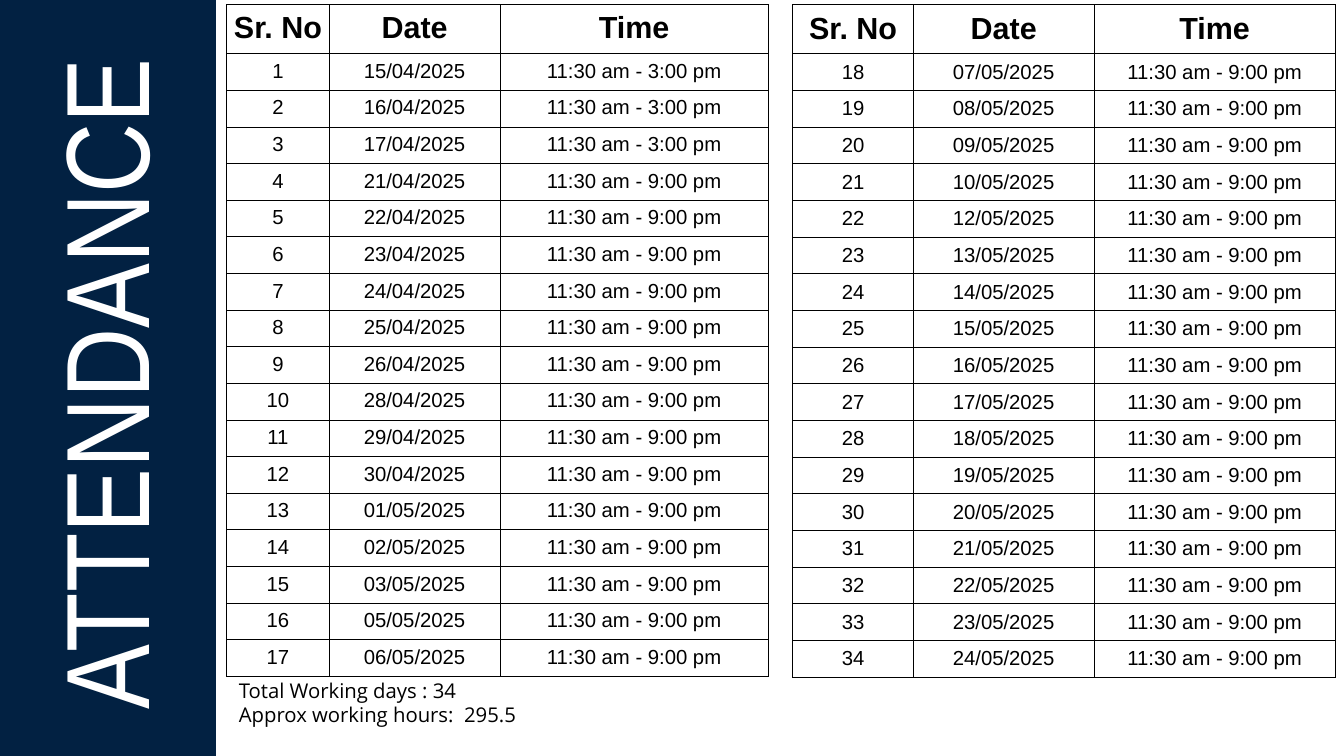
import dataclasses

import lxml.etree
import pptx
import pptx.dml.color
import pptx.enum.shapes
import pptx.enum.text
import pptx.oxml.ns
import pptx.util

Inches = pptx.util.Inches
ALIGN = pptx.enum.text.PP_ALIGN
ANCHOR = pptx.enum.text.MSO_ANCHOR


@dataclasses.dataclass(frozen=True)
class Theme:
    """Colours, fonts and type sizes of the slide."""
    navy: str = "022142"
    white: str = "FFFFFF"
    black: str = "000000"
    title_font: str = "Arial Narrow"
    table_font: str = "Arial"
    note_font: str = "Open Sans"
    title_size: int = 70
    header_size: int = 18
    body_size: int = 12
    border: float = 0.57


THEME = Theme()
HEADERS = ("Sr. No", "Date", "Time")
APRIL = [15, 16, 17, *range(21, 27), 28, 29, 30]
MAY = [1, 2, 3, *range(5, 11), *range(12, 25)]
DATES = [f"{day:02}/{month}/2025" for month, days in (("04", APRIL), ("05", MAY)) for day in days]
SHORT_DAYS = 3
ROWS_PER_TABLE = 17
TABLE_TOP, TABLE_BOTTOM = 0.04, 5.55


def rgb(colour):
    """Turn a hex string into a colour."""
    return pptx.dml.color.RGBColor.from_string(colour)


def write(tf, text, font, size, colour=THEME.black, bold=False, align=ALIGN.LEFT):
    """Write text into a frame, one paragraph per line."""
    for i, line in enumerate(text.split("\n")):
        p = tf.add_paragraph() if i else tf.paragraphs[0]
        p.alignment = align
        r = p.add_run()
        r.text = line
        r.font.name = font
        r.font.size = pptx.util.Pt(size)
        r.font.bold = bold
        r.font.color.rgb = rgb(colour)


def add_border(cell):
    """Draw a thin black line on each side of a cell."""
    tcPr = cell._tc.get_or_add_tcPr()
    qn = pptx.oxml.ns.qn
    for side in ("a:lnL", "a:lnR", "a:lnT", "a:lnB"):
        ln = lxml.etree.SubElement(tcPr, qn(side), w=str(pptx.util.Pt(THEME.border)))
        fill = lxml.etree.SubElement(ln, qn("a:solidFill"))
        lxml.etree.SubElement(fill, qn("a:srgbClr"), val=THEME.black)


def add_sidebar_title(s, text):
    """Set the title upright on a navy side panel."""
    title = s.shapes.title
    panel = s.shapes.add_shape(pptx.enum.shapes.MSO_SHAPE.RECTANGLE,
                               0, 0, Inches(1.77), Inches(6.2))
    panel.shadow.inherit = False
    panel.fill.solid()
    panel.fill.fore_color.rgb = rgb(THEME.navy)
    panel.line.fill.background()
    title.element.addprevious(panel.element)
    title.left, title.top = Inches(-2.11), Inches(2.51)
    title.width, title.height = Inches(5.91), Inches(1.28)
    title.rotation = 270
    tf = title.text_frame
    tf.word_wrap = True
    tf.auto_size = pptx.enum.text.MSO_AUTO_SIZE.SHAPE_TO_FIT_TEXT
    tf.vertical_anchor = ANCHOR.TOP
    write(tf, text, THEME.title_font, THEME.title_size, THEME.white, align=ALIGN.CENTER)


def add_attendance_table(s, rows, left, widths, header_height, anchor):
    """Add a bordered table with a header and equal body rows."""
    row_height = (TABLE_BOTTOM - TABLE_TOP - header_height) / len(rows)
    frame = s.shapes.add_table(len(rows) + 1, len(widths), Inches(left), Inches(TABLE_TOP),
                               Inches(sum(widths)), Inches(TABLE_BOTTOM - TABLE_TOP))
    table = frame.table
    table.horz_banding = False
    for column, width in zip(table.columns, widths):
        column.width = Inches(width)
    for i, values in enumerate([HEADERS, *rows]):
        header = i == 0
        table.rows[i].height = Inches(header_height if header else row_height)
        for j, value in enumerate(values):
            cell = table.cell(i, j)
            cell.margin_left = cell.margin_right = Inches(0.04)
            cell.margin_top = cell.margin_bottom = Inches(0.05)
            cell.vertical_anchor = anchor
            add_border(cell)
            cell.fill.background()
            write(cell.text_frame, value, THEME.table_font,
                  THEME.header_size if header else THEME.body_size,
                  bold=header, align=ALIGN.CENTER)


def add_summary(s, text):
    """Add the totals under the left table."""
    box = s.shapes.add_textbox(Inches(1.86), Inches(5.51), Inches(4.72), Inches(0.69))
    box.text_frame.word_wrap = True
    write(box.text_frame, text, THEME.note_font, THEME.body_size)


def main():
    """Build and save the attendance slide."""
    prs = pptx.Presentation()
    prs.slide_width, prs.slide_height = Inches(11.02), Inches(6.2)
    s = prs.slides.add_slide(prs.slide_layouts.get_by_name("Title Only"))
    add_sidebar_title(s, "ATTENDANCE")
    rows = [(str(n), date, f"11:30 am - {3 if n <= SHORT_DAYS else 9}:00 pm")
            for n, date in enumerate(DATES, 1)]
    add_attendance_table(s, rows[:ROWS_PER_TABLE], 1.86, (0.84, 1.4, 2.2), 0.4, ANCHOR.TOP)
    add_attendance_table(s, rows[ROWS_PER_TABLE:], 6.5, (0.99, 1.48, 1.98), 0.39, ANCHOR.MIDDLE)
    add_summary(s, "Total Working days : 34\nApprox working hours:  295.5")
    prs.save("out.pptx")


if __name__ == "__main__":
    main()
